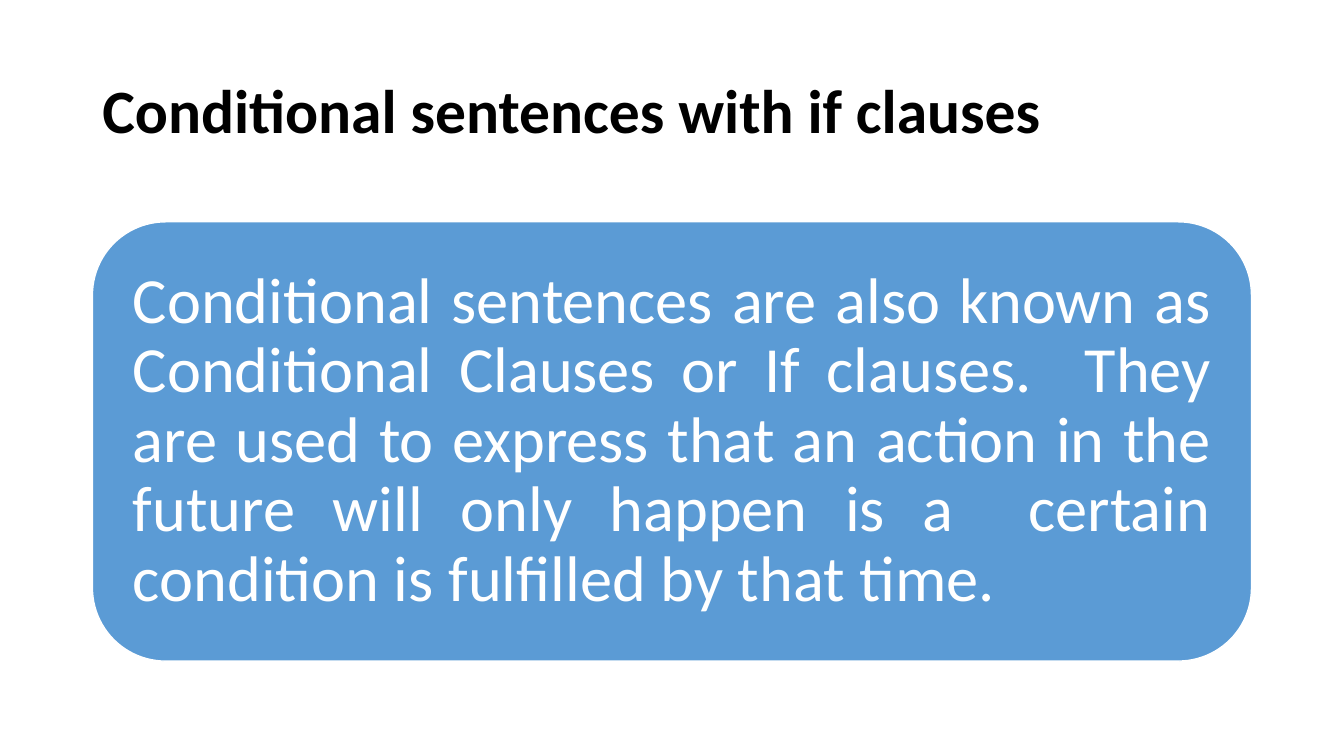
from pptx import Presentation
from pptx.dml.color import RGBColor
from pptx.enum.shapes import MSO_SHAPE as Shape
from pptx.enum.text import MSO_ANCHOR as Anchor, MSO_AUTO_SIZE as AutoSize, PP_ALIGN as Align
from pptx.util import Cm, Pt

TITLE_ONLY = 5
LEFT, WIDTH = 2.33, 29.21


def color(hex_code):
    return RGBColor.from_string(hex_code)


def apply(target, values):
    """Set each named attribute of target."""
    for name, value in values.items():
        setattr(target, name, value)


class LessonSlide:
    FONT = "Calibri"
    WHITE, BLACK, BLUE = "FFFFFF", "000000", "5B9BD5"

    def __init__(self, presentation):
        self.slide = presentation.slides.add_slide(presentation.slide_layouts[TITLE_ONLY])

    def fill_text(self, shape, text, size, hex_code, bold, align, inset):
        margins = dict.fromkeys(
            ("margin_left", "margin_top", "margin_right", "margin_bottom"), Cm(inset))
        frame = shape.text_frame
        apply(frame, {"text": text, "word_wrap": True, "auto_size": AutoSize.NONE,
                      "vertical_anchor": Anchor.MIDDLE, **margins})
        paragraph = frame.paragraphs[0]
        apply(paragraph, {"alignment": align, "line_spacing": 0.9})
        apply(paragraph.font, {"name": self.FONT, "size": Pt(size), "bold": bold})
        paragraph.font.color.rgb = color(hex_code)

    def title(self, text, top, height):
        title = self.slide.shapes.title
        apply(title, {"left": Cm(LEFT), "top": Cm(top),
                      "width": Cm(WIDTH), "height": Cm(height)})
        self.fill_text(title, text, 44, self.BLACK, True, Align.LEFT, 0.25)

    def panel(self, text, top, height):
        panel = self.slide.shapes.add_shape(
            Shape.ROUNDED_RECTANGLE, Cm(LEFT), Cm(top), Cm(WIDTH), Cm(height))
        panel.shadow.inherit = False
        panel.fill.solid()
        panel.fill.fore_color.rgb = color(self.BLUE)
        panel.line.color.rgb = color(self.WHITE)
        panel.line.width = Pt(1)
        self.fill_text(panel, text, 46, self.WHITE, False, Align.JUSTIFY, 0.48)


def main():
    presentation = Presentation()
    apply(presentation, {"slide_width": Cm(33.87), "slide_height": Cm(19.05)})
    lesson = LessonSlide(presentation)
    lesson.title("Conditional sentences with if clauses", 1.01, 3.68)
    lesson.panel(
        "Conditional sentences are also known as Conditional Clauses or If clauses.  "
        "They are used to express that an action in the future will only happen is a  "
        "certain condition is fulfilled by that time.", 5.59, 11.07)
    presentation.save("out.pptx")


if __name__ == "__main__":
    main()
